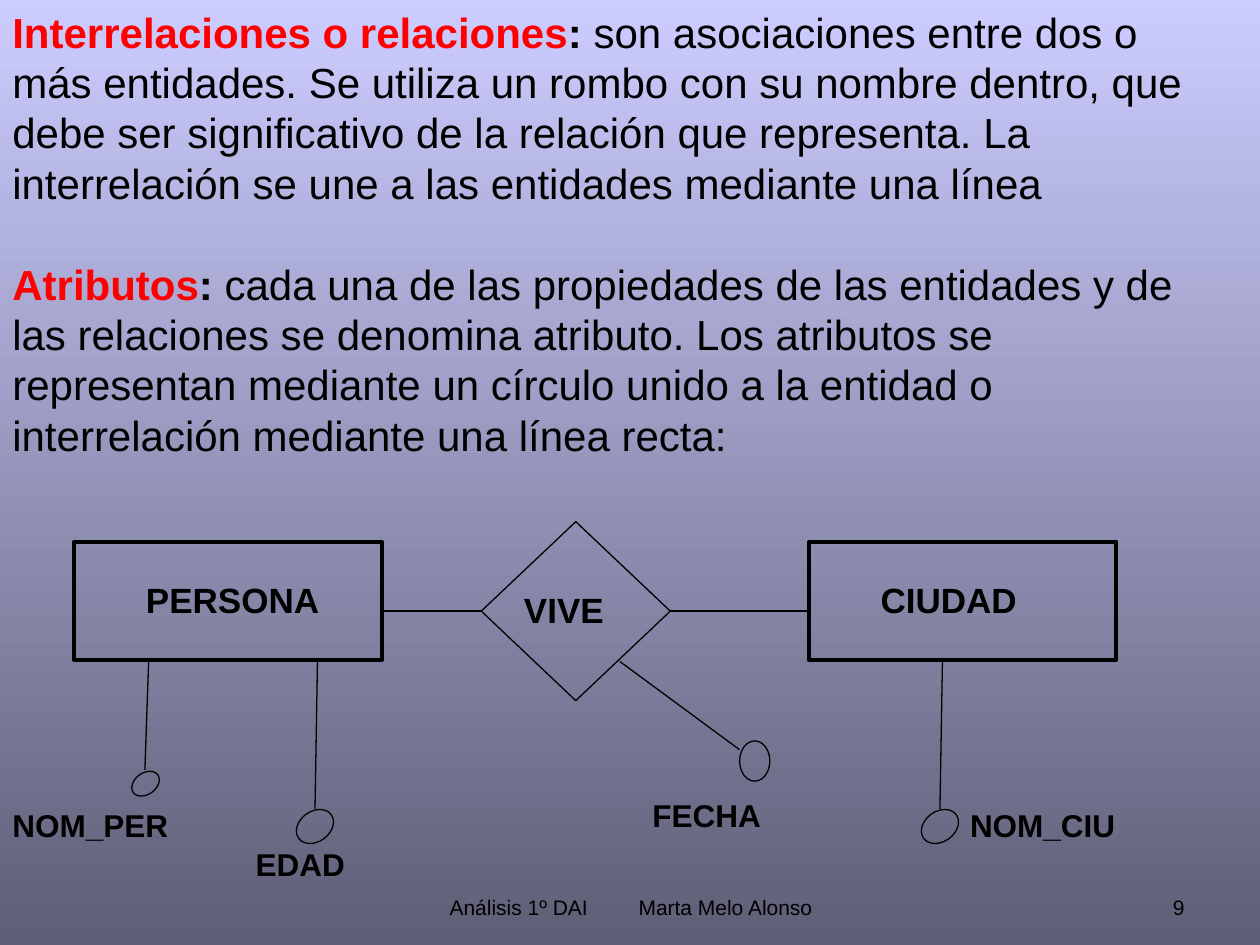
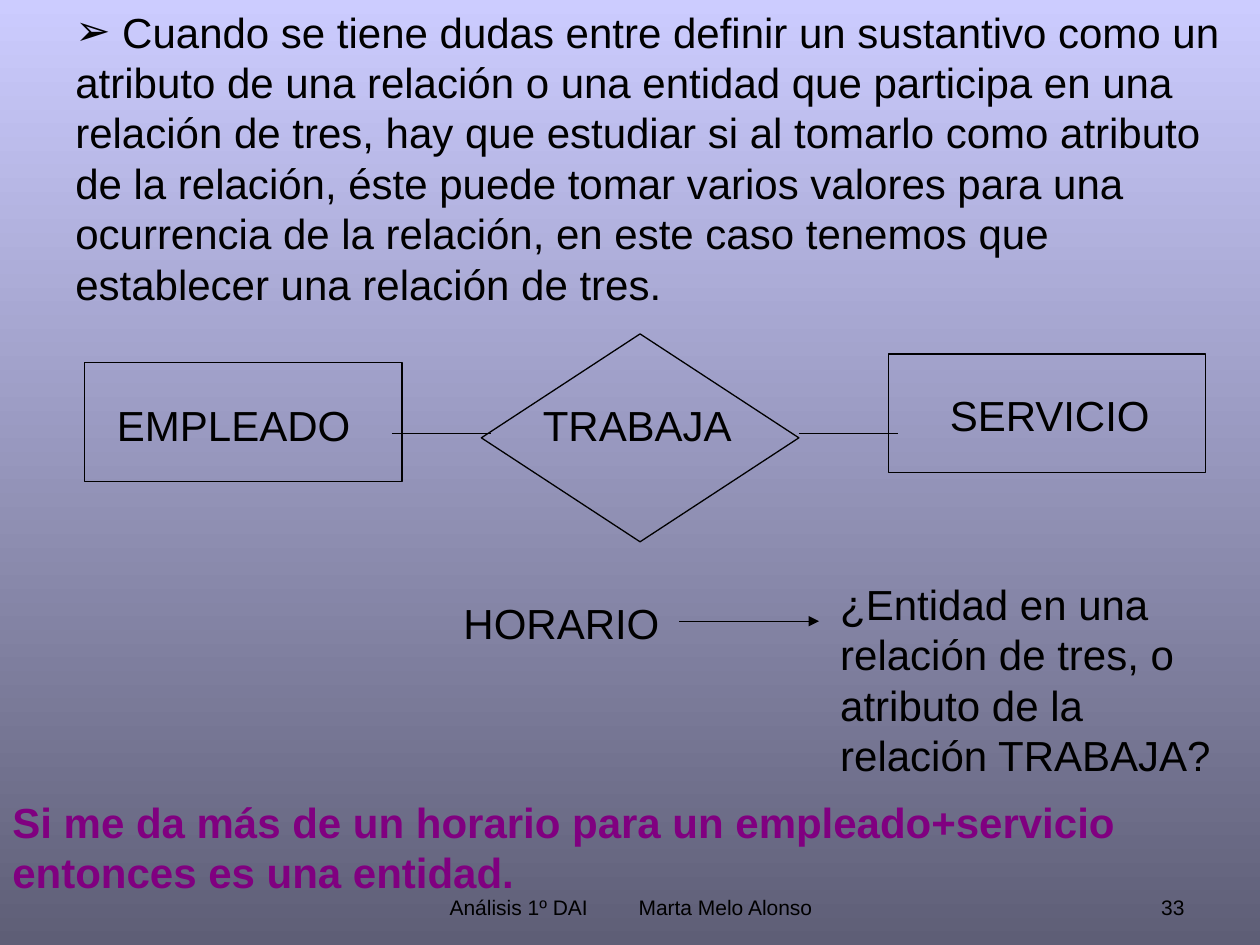
import lxml.etree
import pptx
import pptx.dml.color
import pptx.enum.shapes
import pptx.enum.text
import pptx.oxml.ns
import pptx.util

COLORS = {
    "sky": "CCCCFF",
    "dusk": "5E5E76",
    "ink": "000000",
    "term": "FF0000",
    "conclusion": "800080",
}
FONT = "Arial"
COLUMNS, ROWS = 100, 75
CELL = pptx.util.Inches(0.1)
BODY_SIZE = 24
FOOTER_SIZE = 12
THIN, THICK = 0.75, 2.25

SHAPES = pptx.enum.shapes.MSO_SHAPE
ALIGN = pptx.enum.text.PP_ALIGN
ANCHOR = pptx.enum.text.MSO_ANCHOR


def rgb(name):
    return pptx.dml.color.RGBColor.from_string(COLORS[name])


def cells(*lengths):
    return [round(length * CELL) for length in lengths]


def within(box, left, top, width, height):
    """Move a box given relative to another box onto the slide's grid."""
    return box[0] + left, box[1] + top, width, height


def add_child(parent, tag, **attributes):
    child = lxml.etree.SubElement(parent, pptx.oxml.ns.qn(tag))
    for name, value in attributes.items():
        child.set(name, str(value))
    return child


def add_run(paragraph, text, size=BODY_SIZE, bold=False, color="ink"):
    run = paragraph.add_run()
    run.text = text
    run.font.name = FONT
    run.font.size = pptx.util.Pt(size)
    run.font.bold = bold
    run.font.color.rgb = rgb(color)


def add_frame(slide, box, anchor=ANCHOR.TOP):
    frame = slide.shapes.add_textbox(*cells(*box)).text_frame
    frame.word_wrap = True
    frame.vertical_anchor = anchor
    return frame


def add_text(slide, box, text, **style):
    add_run(add_frame(slide, box).paragraphs[0], text, **style)


def add_outline(slide, kind, box, width=THIN, rotation=0):
    shape = slide.shapes.add_shape(kind, *cells(*box))
    shape.shadow.inherit = False
    shape.fill.background()
    shape.line.color.rgb = rgb("ink")
    shape.line.width = pptx.util.Pt(width)
    shape.rotation = rotation


def add_line(slide, box, start, end, arrow=False):
    points = cells(box[0] + start[0], box[1] + start[1], box[0] + end[0], box[1] + end[1])
    line = slide.shapes.add_connector(pptx.enum.shapes.MSO_CONNECTOR.STRAIGHT, *points)
    line.line.color.rgb = rgb("ink")
    line.line.width = pptx.util.Pt(THIN)
    properties = line.element.spPr
    if arrow:
        add_child(properties.find(pptx.oxml.ns.qn("a:ln")), "a:tailEnd", type="triangle")
    add_child(properties, "a:effectLst")


def add_footer(slide, box, number):
    """Put course and author in the middle and the slide number at the right."""
    top, height = 0, box[3]
    frame = add_frame(slide, within(box, 34.2, top, 31.7, height), ANCHOR.BOTTOM)
    paragraph = frame.paragraphs[0]
    properties = paragraph._p.get_or_add_pPr()
    properties.set("marL", str(cells(0.5)[0]))
    properties.set("indent", "0")
    tabs = add_child(properties, "a:tabLst")
    add_child(tabs, "a:tab", pos=cells(15.2)[0], algn="l")
    add_run(paragraph, "Análisis 1º DAI\tMarta Melo Alonso", FOOTER_SIZE)
    frame = add_frame(slide, within(box, 71.7, top, 23.3, height), ANCHOR.BOTTOM)
    frame.paragraphs[0].alignment = ALIGN.RIGHT
    add_run(frame.paragraphs[0], str(number), FOOTER_SIZE)


def add_slide(presentation, number):
    slide = presentation.slides.add_slide(presentation.slide_layouts[6])
    fill = slide.background.fill
    fill.gradient()
    fill.gradient_angle = 270
    for stop, name in zip(fill.gradient_stops, ("sky", "dusk")):
        stop.color.rgb = rgb(name)
    add_footer(slide, (0, 68.3, COLUMNS, 5.2), number)
    return slide


def add_definitions(slide, box, definitions):
    frame = add_frame(slide, box)
    for index, (term, meaning) in enumerate(definitions):
        paragraph = frame.add_paragraph() if index else frame.paragraphs[0]
        if index:
            paragraph.space_before = pptx.util.Pt(BODY_SIZE * 1.2)
        add_run(paragraph, term, bold=True, color="term")
        add_run(paragraph, ": ", bold=True)
        add_run(paragraph, meaning)


def add_bullet(slide, box, text):
    paragraph = add_frame(slide, box).paragraphs[0]
    properties = paragraph._p.get_or_add_pPr()
    properties.set("marL", str(cells(5)[0]))
    properties.set("indent", "0")
    add_child(add_child(properties, "a:buClr"), "a:srgbClr", val=COLORS["ink"])
    add_child(properties, "a:buFont", typeface=FONT)
    add_child(properties, "a:buChar", char="➢")
    add_run(paragraph, text)


def add_attribute_diagram(slide, box):
    """Draw two entities, their relation and the attributes hanging from them."""
    entity_top, entity_width, entity_height = 1.6, 24.4, 9.4
    entity_bottom = entity_top + entity_height
    for name, left in (("PERSONA", 5.9), ("CIUDAD", 64.2)):
        entity = within(box, left, entity_top, entity_width, entity_height)
        add_outline(slide, SHAPES.RECTANGLE, entity, THICK)
        add_text(slide, within(entity, 4.7, 2.4, 16.5, 4.4), name, size=20, bold=True)

    relation = within(box, 38.2, 0, 15, 14.2)
    add_outline(slide, SHAPES.DIAMOND, relation)
    add_text(slide, within(relation, 2.4, 4.8, 16.5, 4.4), "VIVE", size=20, bold=True)
    for start, end in ((30.3, 38.2), (53.1, 64.2)):
        add_line(slide, box, (start, 7.1), (end, 7.1))

    large, small, tilt = (2.4, 3.2), (1.7, 2.4), 54.1
    attributes = (
        # name, line start, line end, circle corner, circle size, rotation, label corner
        ("NOM_PER", (11.8, entity_bottom), (11.5, 19.7), (10.7, 19.6), small, tilt, (0, 22.1)),
        ("EDAD", (25.2, entity_bottom), (25, 22.8), (23.8, 22.6), large, tilt, (19.3, 25.2)),
        ("FECHA", (49.2, 11.1), (58.7, 18.1), (58.7, 17.4), large, 0, (50.8, 21.3)),
        ("NOM_CIU", (74.8, entity_bottom), (74.6, 22.8), (73.4, 22.6), large, tilt, (76, 22.1)),
    )
    for name, start, end, corner, size, rotation, label in attributes:
        add_line(slide, box, start, end)
        add_outline(slide, SHAPES.OVAL, within(box, *corner, *size), rotation=rotation)
        add_text(slide, within(box, *label, 18.5, 4), name, size=18, bold=True)


def add_question_diagram(slide, box):
    """Draw two entities and their relation, with the doubtful noun below."""
    parts = (
        # name, outline, outline box, label offset, label width
        ("EMPLEADO", SHAPES.RECTANGLE, (6.7, 2.3, 25.2, 9.4), (1.6, 2.4), 26.8),
        ("TRABAJA", SHAPES.DIAMOND, (38.2, 0, 25.2, 16.5), (3.9, 4.7), 26),
        ("SERVICIO", SHAPES.RECTANGLE, (70.5, 1.6, 25.2, 9.4), (3.9, 2.3), 19.7),
    )
    for name, kind, part, offset, width in parts:
        outline = within(box, *part)
        add_outline(slide, kind, outline)
        add_text(slide, within(outline, *offset, width, 5), name)
    for start in (31.1, 63.4):
        add_line(slide, box, (start, 7.9), (start + 7.9, 7.9))

    add_text(slide, within(box, 35.8, 20.4, 20.5, 5), "HORARIO")
    add_line(slide, box, (53.9, 22.8), (65, 22.8), arrow=True)
    question = "¿Entidad en una relación de tres, o atributo de la relación TRABAJA?"
    add_text(slide, within(box, 65.7, 18.9, 31.5, 17), question)


def build_definitions_slide(presentation):
    slide = add_slide(presentation, 9)
    add_definitions(slide, (0, 0, 98, 37), (
        ("Interrelaciones o relaciones",
         "son asociaciones entre dos o más entidades. Se utiliza un rombo con su nombre "
         "dentro, que debe ser significativo de la relación que representa. La "
         "interrelación se une a las entidades mediante una línea"),
        ("Atributos",
         "cada una de las propiedades de las entidades y de las relaciones se denomina "
         "atributo. Los atributos se representan mediante un círculo unido a la entidad o "
         "interrelación mediante una línea recta:"),
    ))
    add_attribute_diagram(slide, (0, 41.4, COLUMNS, 29.2))


def build_question_slide(presentation):
    slide = add_slide(presentation, 33)
    add_bullet(slide, (0, 0, COLUMNS, 25), (
        " Cuando se tiene dudas entre definir un sustantivo como un atributo de una "
        "relación o una entidad que participa en una relación de tres, hay que estudiar si "
        "al tomarlo como atributo de la relación, éste puede tomar varios valores para una "
        "ocurrencia de la relación, en este caso tenemos que establecer una relación de tres."))
    add_question_diagram(slide, (0, 26.5, COLUMNS, 36))
    conclusion = "Si me da más de un horario para un empleado+servicio entonces es una entidad."
    add_text(slide, (0, 62.7, COLUMNS, 9), conclusion, bold=True, color="conclusion")


def main():
    presentation = pptx.Presentation()
    presentation.slide_width, presentation.slide_height = cells(COLUMNS, ROWS)
    build_definitions_slide(presentation)
    build_question_slide(presentation)
    presentation.save("out.pptx")


if __name__ == "__main__":
    main()
